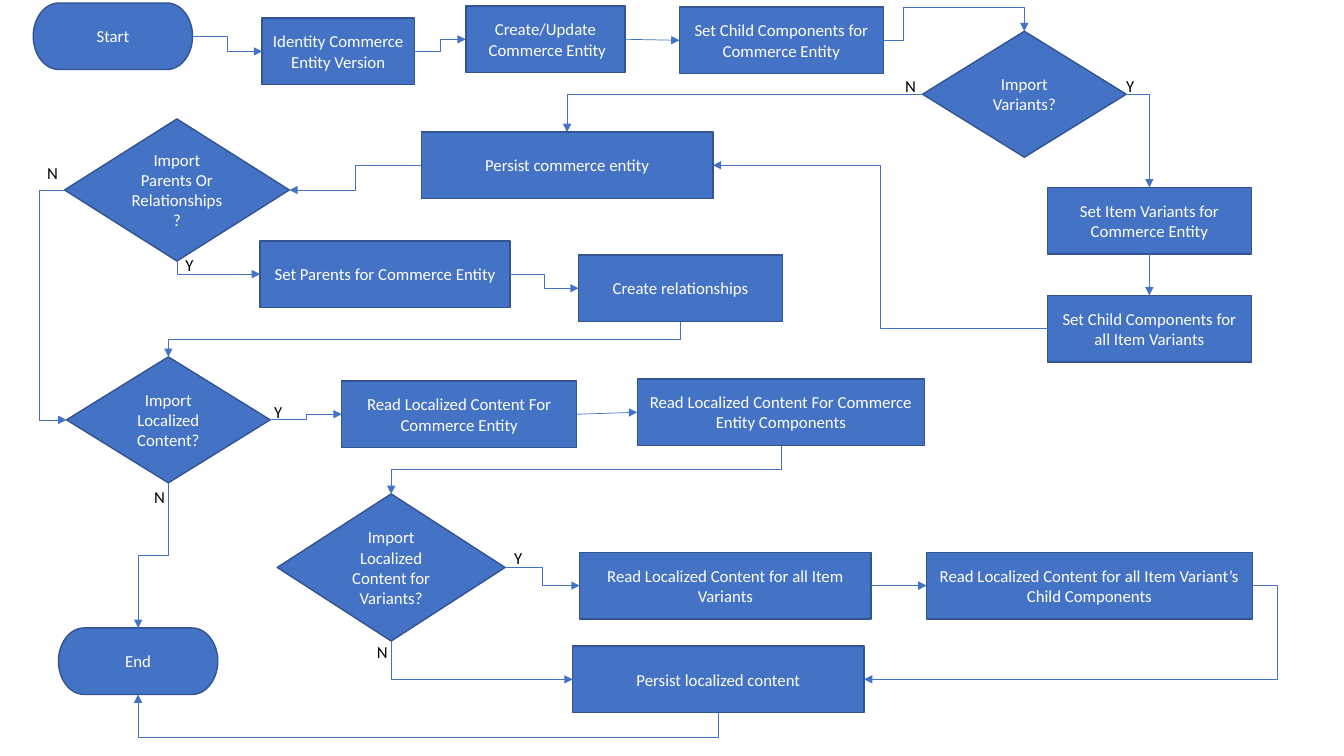
"""Builds the commerce import flowchart slide."""
from lxml import etree
from pptx import Presentation
from pptx.dml.color import RGBColor
from pptx.enum.shapes import MSO_CONNECTOR, MSO_SHAPE
from pptx.enum.text import MSO_ANCHOR, PP_ALIGN
from pptx.oxml.ns import qn
from pptx.util import Inches, Pt

STRAIGHT, ELBOW = MSO_CONNECTOR.STRAIGHT, MSO_CONNECTOR.ELBOW
PROCESS = MSO_SHAPE.FLOWCHART_PROCESS
DECISION = MSO_SHAPE.FLOWCHART_DECISION
TERMINATOR = MSO_SHAPE.FLOWCHART_TERMINATOR
CENTER, MIDDLE = PP_ALIGN.CENTER, MSO_ANCHOR.MIDDLE
TOP, LEFT, BOTTOM, RIGHT = range(4)
COLORS = {"fill": "4472C4", "outline": "325491", "light": "FFFFFF", "dark": "000000"}
ROTATION = {RIGHT: 0, BOTTOM: 90, LEFT: 180, TOP: 270}
DIRECTION = {RIGHT: (1, 0), BOTTOM: (0, 1), LEFT: (-1, 0), TOP: (0, -1)}


class Flowchart:
    """Holds the style and the current slide."""

    def __init__(self, slide, font="Calibri", size=12):
        self.shapes = slide.shapes
        self.font, self.size = font, size

    def color(self, name):
        return RGBColor.from_string(COLORS[name])

    def set_text(self, tf, text, color, align=None):
        tf.word_wrap = True
        tf.text = text
        for p in tf.paragraphs:
            p.alignment = align
            for r in p.runs:
                r.font.name, r.font.size = self.font, Pt(self.size)
                r.font.color.rgb = self.color(color)

    def node(self, kind, text, x, y, w, h=0.66):
        sp = self.shapes.add_shape(kind, Inches(x), Inches(y), Inches(w), Inches(h))
        sp.shadow.inherit = False
        sp.fill.solid()
        sp.fill.fore_color.rgb = self.color("fill")
        sp.line.color.rgb = self.color("outline")
        sp.line.width = Pt(1)
        sp.text_frame.vertical_anchor = MIDDLE
        self.set_text(sp.text_frame, text, "light", CENTER)
        return sp

    def label(self, text, x, y):
        tb = self.shapes.add_textbox(Inches(x), Inches(y), Inches(0.35), Inches(0.3))
        self.set_text(tb.text_frame, text, "dark")

    def straight(self, start, side, end, end_side, kind=STRAIGHT):
        c = self.shapes.add_connector(kind, 0, 0, 0, 0)
        c.begin_connect(start, side)
        c.end_connect(end, end_side)
        c.line.color.rgb = self.color("fill")
        c.line.width = Pt(0.5)
        props = c.element.spPr
        etree.SubElement(props.find(qn("a:ln")), qn("a:tailEnd"), type="triangle")
        etree.SubElement(props, qn("a:effectLst"))
        return c

    def elbow(self, start, side, end, end_side, *bends):
        c = self.straight(start, side, end, end_side, ELBOW)
        dx, dy = c.end_x - c.begin_x, c.end_y - c.begin_y
        mid_x, mid_y = (c.begin_x + c.end_x) / 2, (c.begin_y + c.end_y) / 2
        ux, uy = DIRECTION[side]
        along, across = dx * ux + dy * uy, dy * ux - dx * uy
        rot, flip_h, flip_v = ROTATION[side], along < 0, across < 0
        if rot == 90 and flip_v:
            rot, flip_h, flip_v = 270, not flip_h, False
        c.width, c.height = abs(along), abs(across)
        c.left, c.top = int(mid_x - c.width / 2), int(mid_y - c.height / 2)
        xfrm = c.element.spPr.find(qn("a:xfrm"))
        xfrm.set("rot", str(rot * 60000))
        xfrm.set("flipH", str(int(flip_h)))
        xfrm.set("flipV", str(int(flip_v)))
        geom = c.element.spPr.find(qn("a:prstGeom"))
        if len(bends) == 2:
            geom.set("prst", "bentConnector4")
        elif (side - end_side) % 2:
            geom.set("prst", "bentConnector2")
        guides = geom.find(qn("a:avLst"))
        for i, (bend, span) in enumerate(zip(bends, (along, across)), 1):
            value = round(Inches(bend) / span * 100000)
            etree.SubElement(guides, qn("a:gd"), name=f"adj{i}", fmla=f"val {value}")


prs = Presentation()
prs.slide_width, prs.slide_height = Inches(13.33), Inches(7.5)
chart = Flowchart(prs.slides.add_slide(prs.slide_layouts[6]))

NODES = {
    "start": (TERMINATOR, "Start", 0.33, 0.03, 1.58),
    "identity": (PROCESS, "Identity Commerce Entity Version", 2.6, 0.18, 1.51),
    "create": (PROCESS, "Create/Update\n Commerce Entity", 4.62, 0.06, 1.58),
    "children": (PROCESS, "Set Child Components for Commerce Entity", 6.74, 0.07, 2.02),
    "variants?": (DECISION, "Import Variants?", 9.15, 0.31, 2.02, 1.25),
    "variants": (PROCESS, "Set Item Variants for Commerce Entity", 10.39, 1.86, 2.02),
    "variant children": (PROCESS, "Set Child Components for all Item Variants", 10.39, 2.93, 2.02),
    "persist": (PROCESS, "Persist commerce entity", 4.18, 1.31, 2.89),
    "parents?": (DECISION, "Import Parents Or Relationships?", 0.64, 1.18, 2.23, 1.41),
    "parents": (PROCESS, "Set Parents for Commerce Entity", 2.58, 2.39, 2.48),
    "relations": (PROCESS, "Create relationships", 5.74, 2.53, 2.02),
    "content?": (DECISION, "Import Localized Content?", 0.66, 3.54, 2.02, 1.25),
    "content": (PROCESS, "Read Localized Content For Commerce Entity", 3.39, 3.78, 2.33),
    "components": (PROCESS, "Read Localized Content For Commerce Entity Components",
                   6.32, 3.76, 2.85),
    "variant content?": (DECISION, "Import Localized Content for Variants?",
                         2.75, 4.9, 2.26, 1.46),
    "variant content": (PROCESS, "Read Localized Content for all Item Variants",
                        5.75, 5.48, 2.89),
    "variant components": (PROCESS,
                           "Read Localized Content for all Item Variant’s Child Components",
                           9.19, 5.48, 3.23),
    "persist content": (PROCESS, "Persist localized content", 5.68, 6.41, 2.89),
    "end": (TERMINATOR, "End", 0.58, 6.23, 1.58),
}
nodes = {name: chart.node(*args) for name, args in NODES.items()}

STRAIGHTS = [
    ("create", RIGHT, "children", LEFT),
    ("variants", BOTTOM, "variant children", TOP),
    ("content", RIGHT, "components", LEFT),
    ("variant content", RIGHT, "variant components", LEFT),
]
for start, side, end, end_side in STRAIGHTS:
    chart.straight(nodes[start], side, nodes[end], end_side)

ELBOWS = [
    ("start", RIGHT, "identity", LEFT),
    ("identity", RIGHT, "create", LEFT),
    ("children", RIGHT, "variants?", TOP, 0.2, -0.33),
    ("variants?", LEFT, "persist", TOP),
    ("variants?", RIGHT, "variants", TOP),
    ("variant children", LEFT, "persist", RIGHT),
    ("persist", LEFT, "parents?", RIGHT),
    ("parents?", LEFT, "content?", LEFT, 0.25),
    ("parents?", BOTTOM, "parents", LEFT),
    ("parents", RIGHT, "relations", LEFT),
    ("relations", BOTTOM, "content?", TOP),
    ("content?", RIGHT, "content", LEFT),
    ("content?", BOTTOM, "end", TOP),
    ("components", BOTTOM, "variant content?", TOP),
    ("variant content?", RIGHT, "variant content", LEFT),
    ("variant content?", BOTTOM, "persist content", LEFT),
    ("variant components", RIGHT, "persist content", RIGHT, 0.25),
    ("persist content", BOTTOM, "end", BOTTOM, 0.25),
]
for start, side, end, end_side, *bends in ELBOWS:
    chart.elbow(nodes[start], side, nodes[end], end_side, *bends)

LABELS = {
    "Y": [(11.07, 0.7), (1.74, 2.48), (2.62, 3.94), (5, 5.38)],
    "N": [(8.88, 0.7), (0.37, 1.57), (1.43, 4.78), (3.64, 6.32)],
}
for text, places in LABELS.items():
    for x, y in places:
        chart.label(text, x, y)

prs.save("out.pptx")
